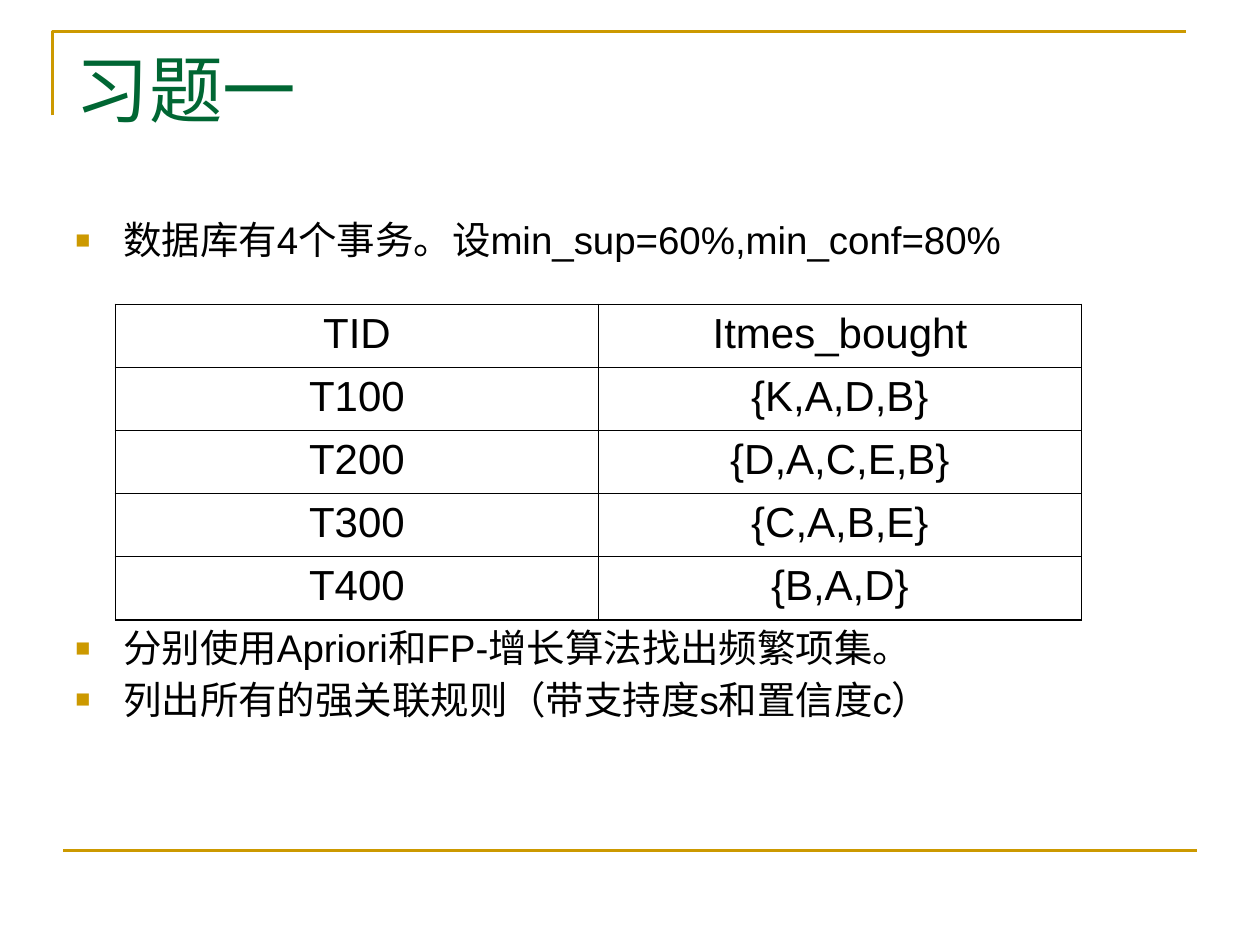
from lxml.etree import SubElement
from pptx import Presentation
from pptx.dml.color import RGBColor
from pptx.enum.shapes import MSO_CONNECTOR
from pptx.enum.text import MSO_ANCHOR, PP_ALIGN
from pptx.oxml.ns import qn
from pptx.util import Inches, Pt

COLORS = {"gold": "CC9900", "green": "006633", "ink": "000000", "paper": "FFFFFF"}
UNIT = Inches(10) // 120
RULE_WIDTH = 1.5
OUTER_BORDER, INNER_BORDER = 1.08, 0.45

TITLE_BOX = (6, 3.6, 108, 15)
CORNER_BOX = (5, 3, 108, 8)
FOOT_BOX = (6, 81, 108, 0)
BODY_BOX = (6, 20.5, 108, 62.4)
TABLE_BOX = (11, 29, 92, 30)

BULLETS = [
    ("数据库有4个事务。设min_sup=60%,min_conf=80%", 0),
    ("分别使用Apriori和FP-增长算法找出频繁项集。", 209.5),
    ("列出所有的强关联规则（带支持度s和置信度c）", 5.5),
]
TRANSACTIONS = [
    ("TID", "Itmes_bought"),
    ("T100", "{K,A,D,B}"),
    ("T200", "{D,A,C,E,B}"),
    ("T300", "{C,A,B,E}"),
    ("T400", "{B,A,D}"),
]


def grid(box):
    """Turn grid units into slide lengths."""
    return [round(value * UNIT) for value in box]


def color(name):
    """Look up a palette colour."""
    return RGBColor.from_string(COLORS[name])


def write(para, text, size, font="Arial", ink="ink", align=PP_ALIGN.LEFT):
    """Put formatted text in a paragraph."""
    para.alignment = align
    span = para.add_run()
    span.text = text
    span.font.size = Pt(size)
    span.font.name = font
    span.font.color.rgb = color(ink)


def style_rule(shape):
    """Give a line the gold rule style."""
    shape.line.color.rgb = color("gold")
    shape.line.width = Pt(RULE_WIDTH)


def add_frame(page, corner_box, foot_box):
    """Draw the corner bracket and the bottom rule."""
    left, top, width, height = grid(corner_box)
    builder = page.shapes.build_freeform(left, top + height)
    builder.add_line_segments([(left, top), (left + width, top)], close=False)
    corner = builder.convert_to_shape()
    corner.fill.background()
    corner.shadow.inherit = False
    style_rule(corner)

    left, top, width, _ = grid(foot_box)
    foot = page.shapes.add_connector(
        MSO_CONNECTOR.STRAIGHT, left, top, left + width, top)
    SubElement(foot._element.spPr, qn("a:effectLst"))
    style_rule(foot)


def add_title(page, box, text):
    """Place and format the title placeholder."""
    title = page.shapes.title
    title.left, title.top, title.width, title.height = grid(box)
    title.text_frame.vertical_anchor = MSO_ANCHOR.TOP
    write(title.text_frame.paragraphs[0], text, 42, "Times New Roman", "green")


def add_bullet(para):
    """Give a paragraph a small gold square with a hanging indent."""
    props = para._p.get_or_add_pPr()
    props.set("marL", str(Inches(0.38)))
    props.set("indent", str(-Inches(0.38)))
    SubElement(SubElement(props, qn("a:buClr")), qn("a:srgbClr"), val=COLORS["gold"])
    SubElement(props, qn("a:buSzPct"), val="65000")
    SubElement(props, qn("a:buFont"), typeface="Arial")
    SubElement(props, qn("a:buChar"), char="■")


def add_body(page, box, bullets):
    """Write the bullets, leaving room for the table after the first."""
    frame = page.shapes.add_textbox(*grid(box)).text_frame
    frame.word_wrap = True
    for index, (text, gap) in enumerate(bullets):
        para = frame.add_paragraph() if index else frame.paragraphs[0]
        para.line_spacing = 0.9
        para.space_before = Pt(gap)
        add_bullet(para)
        write(para, text, 22)


def add_borders(cell, outer_sides):
    """Draw the four cell borders, heavier on the outer sides."""
    props = cell._tc.get_or_add_tcPr()
    for index, side in enumerate("LRTB"):
        width = OUTER_BORDER if side in outer_sides else INNER_BORDER
        line = props.makeelement(qn(f"a:ln{side}"), {"w": str(Pt(width))})
        fill = SubElement(line, qn("a:solidFill"))
        SubElement(fill, qn("a:srgbClr"), val=COLORS["ink"])
        props.insert(index, line)


def add_transactions(page, box, rows):
    """Build the transaction table with equal rows and columns."""
    last_row, last_col = len(rows) - 1, len(rows[0]) - 1
    table = page.shapes.add_table(last_row + 1, last_col + 1, *grid(box)).table
    for r, row in enumerate(rows):
        for c, text in enumerate(row):
            cell = table.cell(r, c)
            cell.fill.background()
            write(cell.text_frame.paragraphs[0], text, 24, align=PP_ALIGN.CENTER)
            edges = {"L": c == 0, "R": c == last_col, "T": r == 0, "B": r == last_row}
            add_borders(cell, [side for side, outer in edges.items() if outer])


def main():
    """Build and save the exercise slide."""
    deck = Presentation()
    deck.slide_width, deck.slide_height = 120 * UNIT, 90 * UNIT
    page = deck.slides.add_slide(deck.slide_layouts[5])
    page.background.fill.solid()
    page.background.fill.fore_color.rgb = color("paper")
    add_frame(page, CORNER_BOX, FOOT_BOX)
    add_title(page, TITLE_BOX, "习题一")
    add_body(page, BODY_BOX, BULLETS)
    add_transactions(page, TABLE_BOX, TRANSACTIONS)
    deck.save("out.pptx")


if __name__ == "__main__":
    main()
